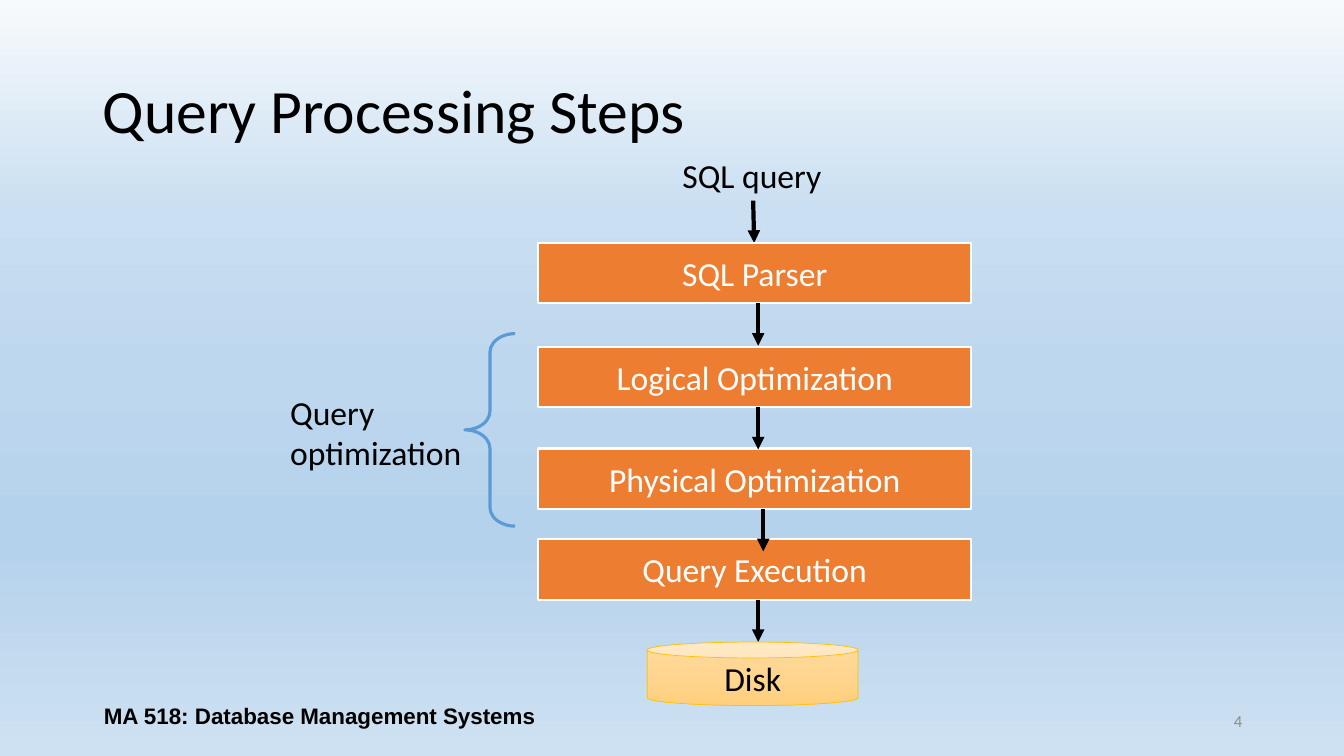
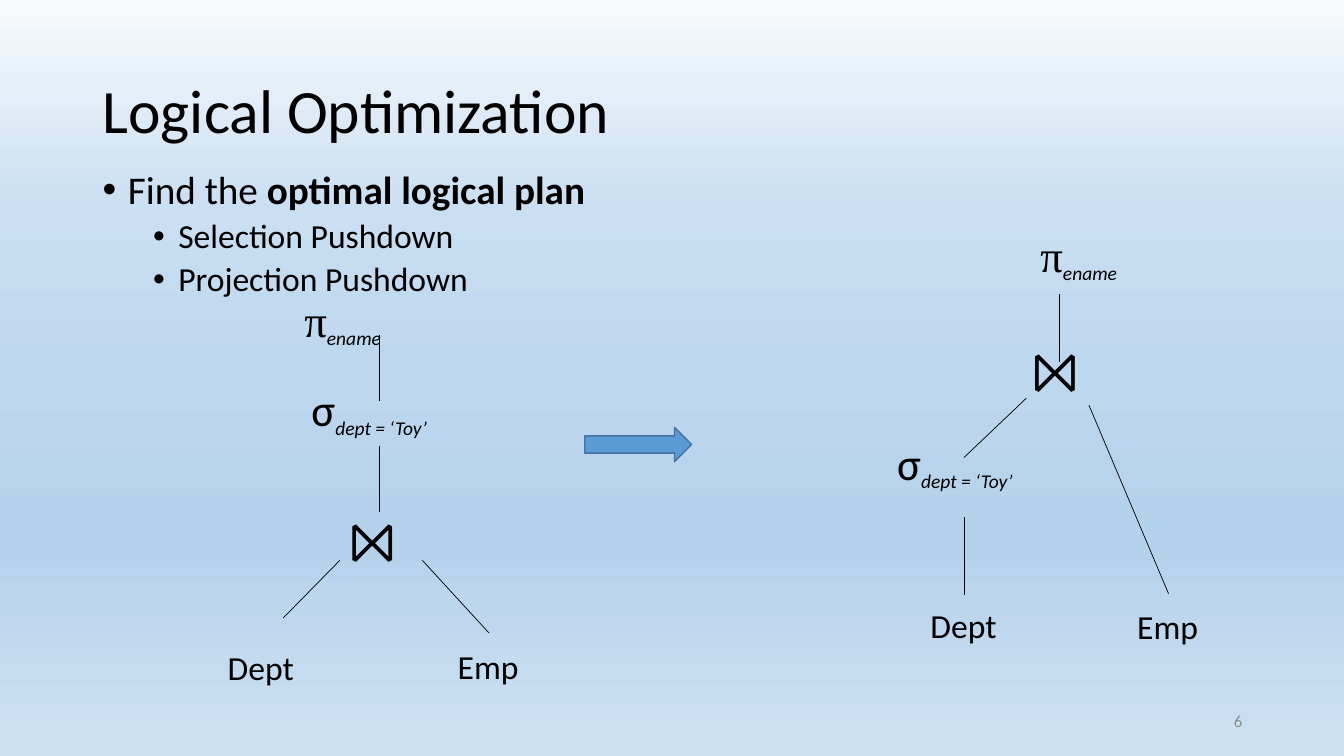
from dataclasses import dataclass

from lxml import etree
from pptx import Presentation
from pptx.dml.color import RGBColor
from pptx.enum.shapes import MSO_CONNECTOR, MSO_SHAPE
from pptx.enum.text import MSO_ANCHOR, MSO_AUTO_SIZE, PP_ALIGN
from pptx.oxml.ns import qn
from pptx.util import Inches, Pt

LEFT, CENTER, RIGHT = PP_ALIGN.LEFT, PP_ALIGN.CENTER, PP_ALIGN.RIGHT
TOP, MIDDLE = MSO_ANCHOR.TOP, MSO_ANCHOR.MIDDLE
FIT_TEXT = MSO_AUTO_SIZE.SHAPE_TO_FIT_TEXT
STRAIGHT = MSO_CONNECTOR.STRAIGHT
RECTANGLE, CAN = MSO_SHAPE.RECTANGLE, MSO_SHAPE.CAN
BRACE, RIGHT_ARROW = MSO_SHAPE.LEFT_BRACE, MSO_SHAPE.RIGHT_ARROW


@dataclass(frozen=True)
class Theme:
    sans: str = "Calibri"
    serif: str = "Times New Roman"
    footer_font: str = "Arial"
    ink: str = "000000"
    white: str = "FFFFFF"
    muted: str = "8C8C8C"
    step: str = "ED7D31"
    accent: str = "5B9BD5"
    accent_edge: str = "43739E"
    disk_edge: str = "FFC000"
    disk: tuple = ((0, "FFDB9E"), (50, "FFD590"), (100, "FFD07C"))
    sky: tuple = ((0, "F7FAFD"), (28, "CADFF1"), (49, "BDD7EE"),
                  (71, "B5D2EC"), (72, "B5D2EC"), (100, "CEE1F2"))
    title_size: int = 44
    join_size: int = 40
    symbol_size: int = 32
    body_size: int = 28
    label_size: int = 24
    footer_size: int = 16
    number_size: int = 12


THEME = Theme()


def inches(values):
    return [Inches(value) for value in values]


def style_font(font, size, color=THEME.ink, name=THEME.sans, bold=None):
    font.size, font.name, font.bold = Pt(size), name, bold
    font.color.rgb = RGBColor.from_string(color)


def fill_gradient(fill, element, stops):
    fill.gradient()
    fill.gradient_angle = 270
    stop_list = next(element.iter(qn("a:gsLst")))
    for stop in list(stop_list):
        stop_list.remove(stop)
    for position, color in stops:
        stop = etree.SubElement(stop_list, qn("a:gs"), pos=str(position * 1000))
        etree.SubElement(stop, qn("a:srgbClr"), val=color)


class Deck:
    def __init__(self):
        self.presentation = Presentation()
        self.presentation.slide_width = Inches(13.33)
        self.presentation.slide_height = Inches(7.5)
        self.slide = None

    def new_slide(self, title, number):
        layout = self.presentation.slide_layouts[6]
        self.slide = self.presentation.slides.add_slide(layout)
        fill_gradient(self.slide.background.fill, self.slide.element, THEME.sky)
        heading = self.text((0.92, 0.4, 11.5, 1.45), title, THEME.title_size, anchor=MIDDLE)
        heading.paragraphs[0].line_spacing = 0.9
        self.text((9.42, 6.95, 3, 0.4), str(number), THEME.number_size,
                  color=THEME.muted, align=RIGHT, anchor=MIDDLE)

    def frame(self, box, anchor=TOP):
        frame = self.slide.shapes.add_textbox(*inches(box)).text_frame
        frame.word_wrap = True
        frame.vertical_anchor = anchor
        return frame

    def text(self, box, words, size, align=LEFT, anchor=TOP, **font):
        frame = self.frame(box, anchor)
        frame.text = words
        for paragraph in frame.paragraphs:
            paragraph.alignment = align
            style_font(paragraph.font, size, **font)
        return frame

    def label(self, box, words, size=THEME.label_size):
        frame = self.text(box, words, size)
        frame.word_wrap = False
        frame.auto_size = FIT_TEXT

    def operator(self, box, symbol, subscript, font=THEME.sans):
        frame = self.frame(box)
        frame.word_wrap = False
        frame.auto_size = FIT_TEXT
        paragraph = frame.paragraphs[0]
        sign, condition = paragraph.add_run(), paragraph.add_run()
        sign.text, condition.text = symbol, subscript
        style_font(sign.font, THEME.symbol_size, name=font)
        style_font(condition.font, THEME.label_size)
        condition.font.italic = True
        condition.font._element.set("baseline", "-25000")

    def bullets(self, box, items):
        frame = self.frame(box)
        for index, (level, runs) in enumerate(items):
            paragraph = frame.add_paragraph() if index else frame.paragraphs[0]
            paragraph.level = level
            paragraph.line_spacing = 0.9
            paragraph.space_before = Pt(5 if level else 10)
            properties = paragraph._p.get_or_add_pPr()
            properties.set("marL", str(Inches(0.25 + 0.5 * level)))
            properties.set("indent", str(Inches(-0.25)))
            etree.SubElement(properties, qn("a:buFont"), typeface="Arial")
            etree.SubElement(properties, qn("a:buChar"), char="•")
            style_font(paragraph.font, THEME.label_size if level else THEME.body_size)
            for words, bold in runs:
                run = paragraph.add_run()
                run.text = words
                if bold:
                    run.font.bold = True

    def shape(self, preset, box, fill, edge, width, words="", color=THEME.ink):
        shape = self.slide.shapes.add_shape(preset, *inches(box))
        shape.shadow.inherit = False
        if fill is None:
            shape.fill.background()
        elif isinstance(fill, tuple):
            fill_gradient(shape.fill, shape.element, fill)
        else:
            shape.fill.solid()
            shape.fill.fore_color.rgb = RGBColor.from_string(fill)
        shape.line.color.rgb = RGBColor.from_string(edge)
        shape.line.width = Pt(width)
        if words:
            frame = shape.text_frame
            frame.text = words
            frame.vertical_anchor = MIDDLE
            frame.paragraphs[0].alignment = CENTER
            style_font(frame.paragraphs[0].font, THEME.label_size, color)
        return shape

    def line(self, start, end, width=0.5, arrow=False):
        line = self.slide.shapes.add_connector(STRAIGHT, *inches((*start, *end)))
        line.line.color.rgb = RGBColor.from_string(THEME.ink)
        line.line.width = Pt(width)
        properties = line.element.spPr
        if arrow:
            etree.SubElement(properties.find(qn("a:ln")), qn("a:tailEnd"), type="triangle")
        etree.SubElement(properties, qn("a:effectLst"))


def build_processing_steps(deck):
    deck.new_slide("Query Processing Steps", 4)
    deck.text((0.92, 6.9, 4.5, 0.4), "MA 518: Database Management Systems",
              THEME.footer_size, align=CENTER, anchor=MIDDLE,
              name=THEME.footer_font, bold=True)
    deck.label((6.67, 1.49, 1.59, 0.5), "SQL query")
    deck.line((7.47, 1.99), (7.48, 2.41), 3, arrow=True)

    step_height, arrow_length = 0.6, 0.42
    steps = (
        ("SQL Parser", 2.41, 7.52),
        ("Logical Optimization", 3.44, 7.52),
        ("Physical Optimization", 4.45, 7.57),
        ("Query Execution", 5.35, 7.52),
    )
    for name, top, _ in steps:
        deck.shape(RECTANGLE, (5.34, top, 4.29, step_height), THEME.step,
                   THEME.white, 1.5, name, THEME.white)
    for _, top, arrow_x in steps:
        bottom = top + step_height
        deck.line((arrow_x, bottom), (arrow_x, bottom + arrow_length), 3, arrow=True)

    deck.shape(CAN, (6.42, 6.37, 2.09, 0.63), THEME.disk, THEME.disk_edge, 0.5, "Disk")
    brace = deck.shape(BRACE, (4.61, 3.31, 0.5, 1.91), None, THEME.accent, 2.25)
    brace.adjustments[0] = 0.37
    deck.label((2.78, 3.84, 1.92, 0.91), "Query\noptimization")


def draw_plan(deck, projection, selection, join, dept, emp, edges):
    deck.operator((*projection, 1.1, 0.64), "π", "ename", THEME.serif)
    deck.operator((*selection, 1.52, 0.64), "σ", "dept = ‘Toy’")
    deck.label((*join, 0.78, 0.77), "⨝", THEME.join_size)
    deck.label((*dept, 0.86, 0.5), "Dept")
    deck.label((*emp, 0.81, 0.5), "Emp")
    for start, end in edges:
        deck.line(start, end)


def build_logical_optimization(deck):
    deck.new_slide("Logical Optimization", 6)
    deck.bullets((0.92, 1.64, 11.5, 4.76), (
        (0, (("Find the ", False), ("optimal logical plan", True))),
        (1, (("Selection Pushdown", False),)),
        (1, (("Projection Pushdown", False),)),
    ))
    draw_plan(
        deck, projection=(2.92, 2.85), selection=(2.99, 3.74), join=(3.37, 4.97),
        dept=(2.16, 6.37), emp=(4.44, 6.36),
        edges=(((3.76, 3.32), (3.76, 3.98)), ((3.76, 4.42), (3.76, 5.08)),
               ((3.37, 5.56), (2.81, 6.13)), ((4.19, 5.56), (4.85, 6.28))))
    deck.shape(RIGHT_ARROW, (5.8, 4.24, 1.06, 0.34), THEME.accent, THEME.accent_edge, 1)
    draw_plan(
        deck, projection=(10.22, 2.21), selection=(8.8, 4.27), join=(10.14, 3.28),
        dept=(9.13, 5.95), emp=(11.18, 5.96),
        edges=(((10.51, 2.92), (10.51, 3.59)), ((10.18, 3.95), (9.56, 4.54)),
               ((10.8, 4.02), (11.59, 5.89)), ((9.56, 5.13), (9.56, 5.9))))


def main():
    deck = Deck()
    build_processing_steps(deck)
    build_logical_optimization(deck)
    deck.presentation.save("out.pptx")


if __name__ == "__main__":
    main()
